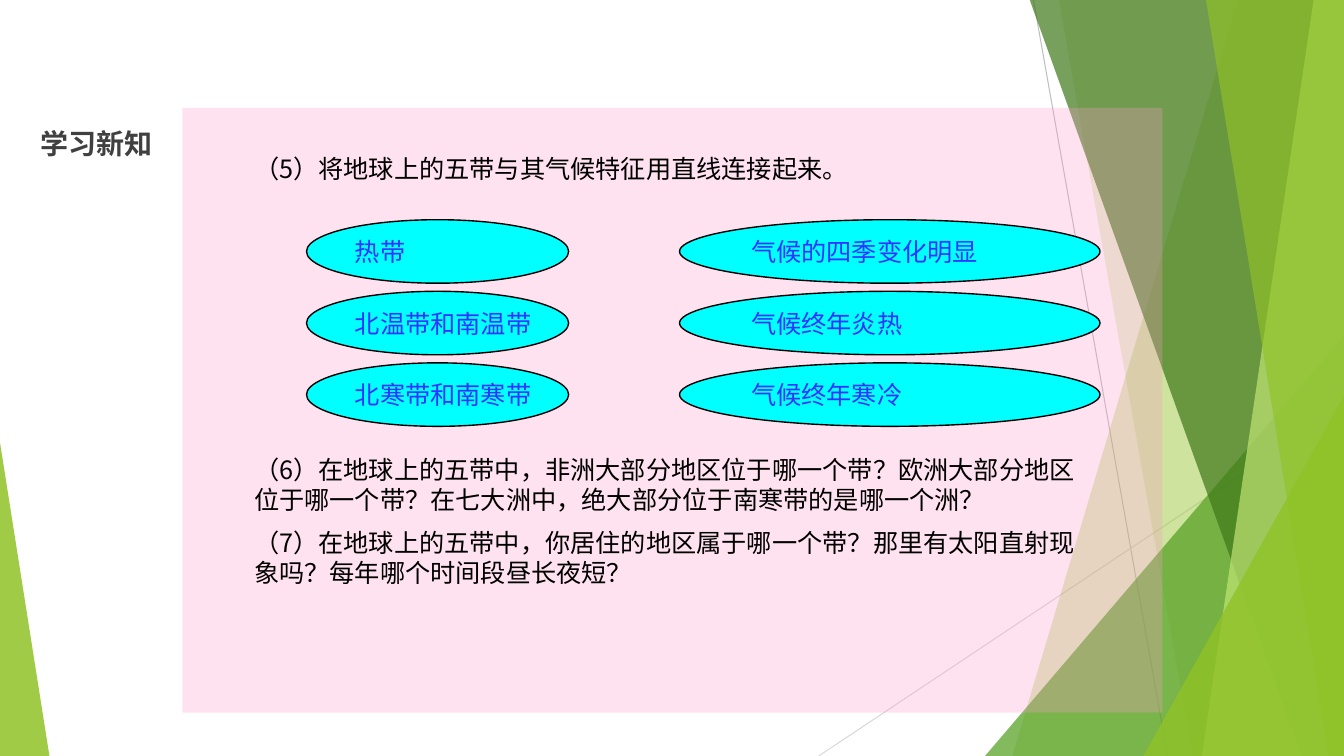
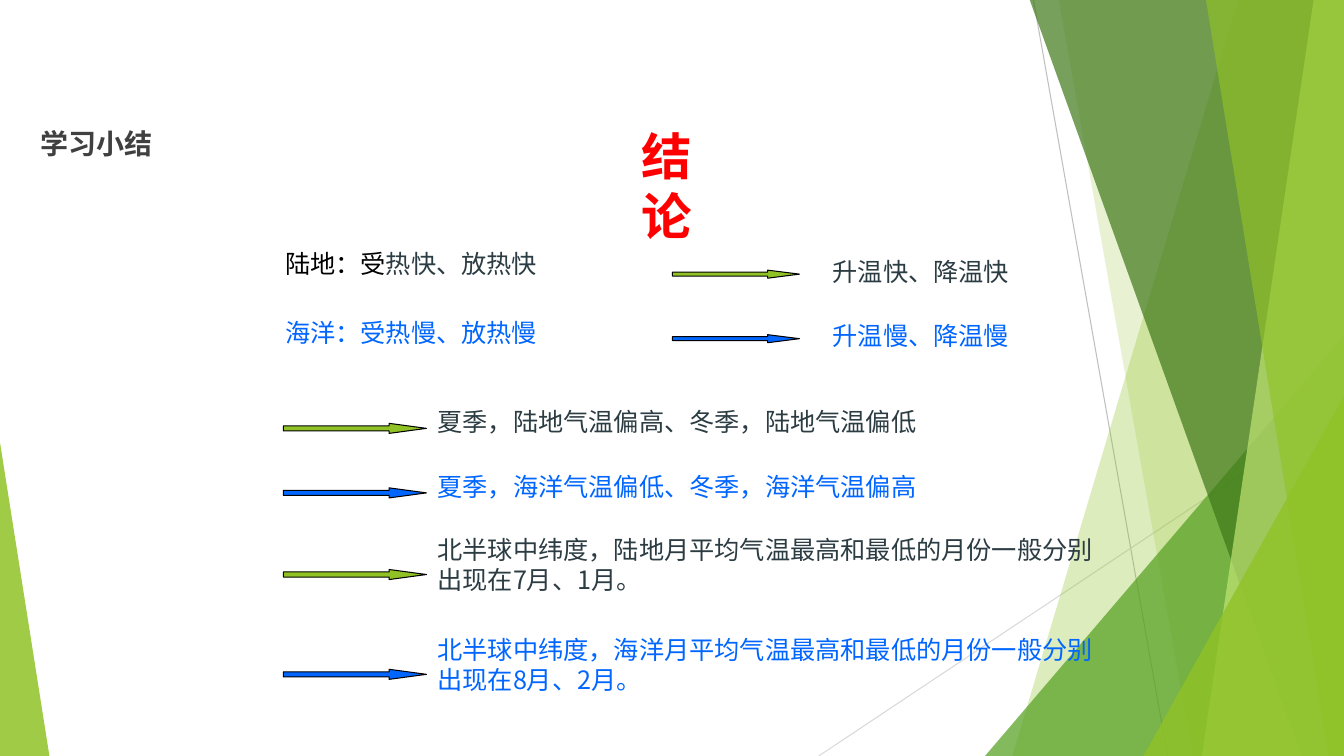
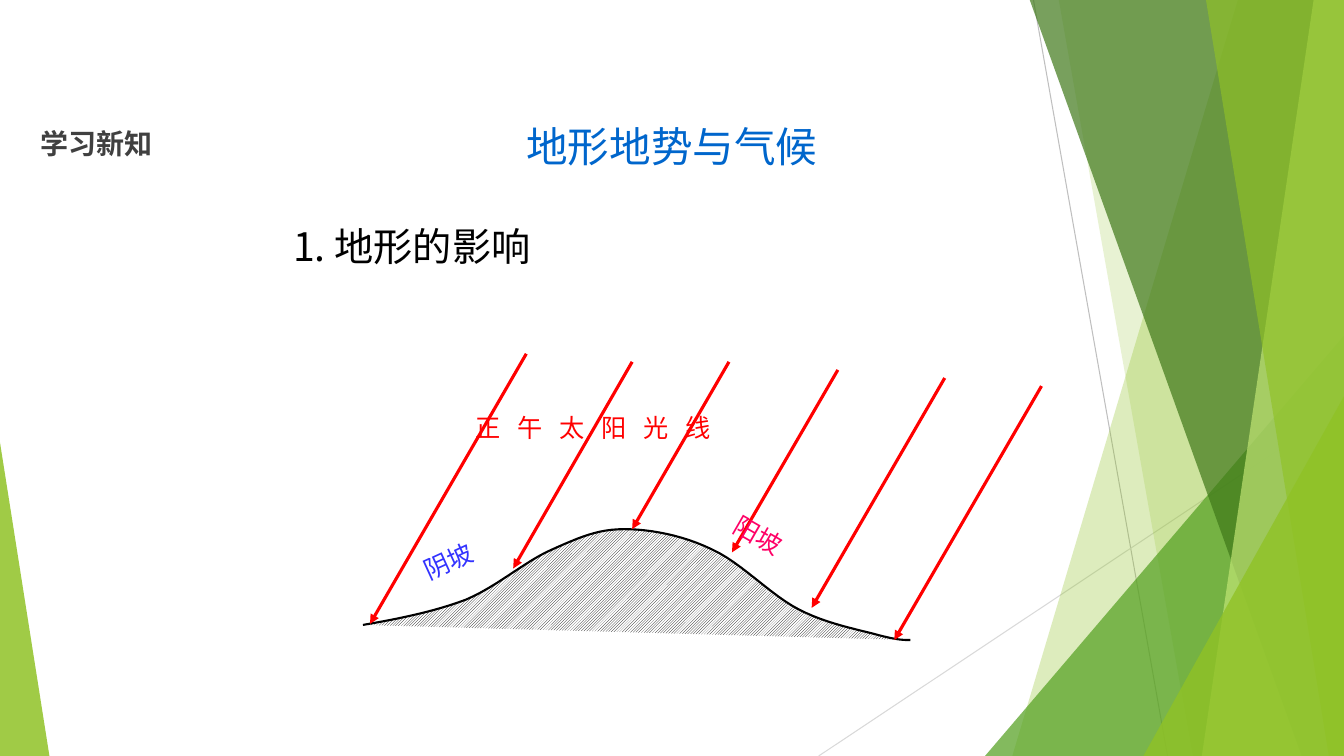
from lxml import etree
from pptx import Presentation
from pptx.dml.color import RGBColor
from pptx.enum.dml import MSO_PATTERN
from pptx.enum.shapes import MSO_CONNECTOR, MSO_SHAPE
from pptx.enum.text import MSO_ANCHOR, MSO_AUTO_SIZE, PP_ALIGN
from pptx.oxml.ns import qn
from pptx.util import Inches, Pt

FONT = "Noto Sans CJK SC"
WIDTH, HEIGHT = 13.33, 7.5
GREEN, BLUE, INDIGO, RED = "90C226", "0066FF", "3333FF", "FF0000"
BLACK, SLATE, GREY = "000000", "2C3C43", "404040"
TITLE_ONLY, TITLE_AND_BODY = 5, 1


def rgb(color):
    return RGBColor.from_string(color)


def box(*lengths):
    return [Inches(n) for n in lengths]


def place(shape, left, top, width, height):
    shape.left, shape.top, shape.width, shape.height = box(left, top, width, height)


def paint(shape, color, alpha=100, line=None, weight=1.0):
    """Fill a shape, with alpha in percent, and outline it if a line colour is given."""
    shape.shadow.inherit = False
    shape.fill.solid()
    shape.fill.fore_color.rgb = rgb(color)
    if alpha < 100:
        clr = shape._element.spPr.find(qn("a:solidFill"))[0]
        etree.SubElement(clr, qn("a:alpha")).set("val", str(alpha * 1000))
    if line:
        shape.line.color.rgb = rgb(line)
        shape.line.width = Pt(weight)
    else:
        shape.line.fill.background()


def style(p, size, color, bold=False, align=PP_ALIGN.LEFT, spacing=0):
    """Set the font of a paragraph; spacing is between letters, in points."""
    p.alignment = align
    p.font.size, p.font.bold, p.font.name = Pt(size), bold, FONT
    p.font.color.rgb = rgb(color)
    props = p._p.pPr.find(qn("a:defRPr"))
    etree.SubElement(props, qn("a:ea")).set("typeface", FONT)
    if spacing:
        props.set("spc", str(spacing * 100))


def add_text(s, text, left, top, width, height, color, size=18, wrap=True,
             rotation=0, **kw):
    tb = s.shapes.add_textbox(*box(left, top, width, height))
    tb.rotation = rotation
    tf = tb.text_frame
    tf.word_wrap = wrap
    p = tf.paragraphs[0]
    p.text = text
    style(p, size, color, **kw)
    return p


def add_line(s, start, end, color, weight, arrow=False):
    c = s.shapes.add_connector(MSO_CONNECTOR.STRAIGHT, *box(*start, *end))
    c.line.color.rgb = rgb(color)
    c.line.width = Pt(weight)
    if arrow:
        etree.SubElement(c.line._get_or_add_ln(), qn("a:tailEnd")).set("type", "triangle")
    etree.SubElement(c._element.spPr, qn("a:effectLst"))


def add_outline(s, points, close):
    (x, y), *rest = [box(*pt) for pt in points]
    fb = s.shapes.build_freeform(x, y)
    fb.add_line_segments(rest, close=close)
    return fb.convert_to_shape()


def add_band(s, top_x, bottom_x, color, alpha):
    """Slanted band that reaches the right edge of the slide."""
    corners = [(top_x, -0.01), (WIDTH, -0.01), (WIDTH, HEIGHT), (bottom_x, HEIGHT)]
    paint(add_outline(s, corners, True), color, alpha)


def add_corner(s, left, top, width, tip, color, alpha):
    """Triangle on the lower edge; tip is 0 for left and 1 for right."""
    tri = s.shapes.add_shape(MSO_SHAPE.ISOSCELES_TRIANGLE,
                             *box(left, top, width, HEIGHT - top))
    tri.adjustments[0] = tip
    paint(tri, color, alpha)


def decorate_master(prs, s):
    """Draw the facets on a new slide and move them to the master."""
    add_line(s, (10.25, 0), (11.58, HEIGHT), "BFBFBF", 0.75)
    add_line(s, (WIDTH, 4.03), (8.12, HEIGHT), "D9D9D9", 0.75)
    add_band(s, 12.28, 10.04, GREEN, 30)
    add_band(s, 10.5, 11.83, GREEN, 20)
    add_corner(s, 9.77, 3.33, 3.56, 1, "54A021", 72)
    add_band(s, 10.21, 12.91, "3F7819", 70)
    add_band(s, 13.03, 11.92, "C0E474", 70)
    add_band(s, 11.96, 13.18, GREEN, 65)
    add_corner(s, 11.34, 3.93, 1.99, 1, GREEN, 80)
    add_corner(s, 0, 4.39, 0.49, 0, GREEN, 85)
    facets = [sh for sh in s.shapes if not sh.is_placeholder]
    for number, sh in enumerate(facets, 100):
        sh._element.xpath(".//p:cNvPr")[0].set("id", str(number))
        prs.slide_master.element.cSld.spTree.append(sh._element)
    place(prs.slide_master.placeholders[0], 0.3, 1.2, 1.32, 0.44)


def add_slide(prs, layout, title):
    s = prs.slides.add_slide(prs.slide_layouts[layout])
    tf = s.shapes.title.text_frame
    tf.text = title
    tf.word_wrap, tf.auto_size = False, MSO_AUTO_SIZE.NONE
    tf.vertical_anchor = MSO_ANCHOR.TOP
    style(tf.paragraphs[0], 20, GREY, bold=True)
    return s


def fill_questions(body, questions):
    """Write (text, space before) pairs as plain paragraphs without bullets."""
    place(body, 2.42, 1.47, 8.58, 4.64)
    tf = body.text_frame
    tf.auto_size = MSO_AUTO_SIZE.NONE
    tf.text = "\n".join(text for text, _ in questions)
    for p, (_, before) in zip(tf.paragraphs, questions):
        p.space_before = Pt(before)
        style(p, 18, BLACK)
        pPr = p._p.pPr
        pPr.set("marL", "0")
        pPr.set("indent", "0")
        pPr.find(qn("a:defRPr")).addprevious(etree.Element(qn("a:buNone")))


def add_ellipse(s, text, left, top, width):
    oval = s.shapes.add_shape(MSO_SHAPE.OVAL, *box(left, top, width, 0.63))
    paint(oval, "00FFFF", line=BLACK)
    tf = oval.text_frame
    tf.word_wrap, tf.vertical_anchor = False, MSO_ANCHOR.MIDDLE
    tf.text = text
    style(tf.paragraphs[0], 18, INDIGO)


def add_block_arrow(s, left, top, width, height, head, color):
    arrow = s.shapes.add_shape(MSO_SHAPE.RIGHT_ARROW, *box(left, top, width, height))
    arrow.adjustments[0], arrow.adjustments[1] = 0.5, head
    paint(arrow, color, line=BLACK, weight=0.75)


def zones_slide(s):
    panel = s.shapes.add_shape(MSO_SHAPE.RECTANGLE, *box(1.81, 1.07, 9.72, 6))
    paint(panel, "FF99CC", 28)
    s.shapes._spTree.insert(2, panel._element)  # behind the questions
    fill_questions(s.placeholders[1], [
        ("（5）将地球上的五带与其气候特征用直线连接起来。", 0),
        ("（6）在地球上的五带中，非洲大部分地区位于哪一个带？欧洲大部分地区"
         "位于哪一个带？在七大洲中，绝大部分位于南寒带的是哪一个洲？", 193.5),
        ("（7）在地球上的五带中，你居住的地区属于哪一个带？那里有太阳直射现"
         "象吗？每年哪个时间段昼长夜短？", 9),
    ])
    pairs = [("热带", "气候的四季变化明显"),
             ("北温带和南温带", "气候终年炎热"),
             ("北寒带和南寒带", "气候终年寒冷")]
    for row, (zone, climate) in enumerate(pairs):
        top = 2.18 + 0.71 * row
        add_ellipse(s, zone, 3.04, top, 2.6)
        add_ellipse(s, climate, 6.74, top, 4.17)


def summary_slide(s):
    add_text(s, "结论", 6.11, 1.19, 1, 0.75, RED, 36, wrap=False,
             bold=True, align=PP_ALIGN.CENTER)
    land = add_text(s, "陆地：受", 2.73, 2.41, 2.73, 0.4, BLACK, wrap=False)
    r = land.add_run()
    r.text = "热快、放热快"
    r.font.color.rgb = rgb(SLATE)
    add_text(s, "海洋：受热慢、放热慢", 2.73, 3.1, 2.73, 0.4, BLUE, wrap=False)

    effects = [("升温快、降温快", 2.49, SLATE, GREEN),
               ("升温慢、降温慢", 3.13, BLUE, BLUE)]
    for text, top, color, arrow in effects:
        add_block_arrow(s, 6.67, top + 0.19, 1.26, 0.08, 3.95, arrow)
        add_text(s, text, 8.16, top, 1.97, 0.4, color, wrap=False)

    results = [
        ("夏季，陆地气温偏高、冬季，陆地气温偏低", 3.98, 4.2, SLATE, GREEN),
        ("夏季，海洋气温偏低、冬季，海洋气温偏高", 4.63, 4.84, BLUE, BLUE),
        ("北半球中纬度，陆地月平均气温最高和最低的月份一般分别出现在7月、1月。",
         5.25, 5.65, SLATE, GREEN),
        ("北半球中纬度，海洋月平均气温最高和最低的月份一般分别出现在8月、2月。",
         6.24, 6.64, BLUE, BLUE),
    ]
    for text, top, arrow_top, color, arrow in results:
        add_block_arrow(s, 2.81, arrow_top, 1.42, 0.1, 3.71, arrow)
        add_text(s, text, 4.24, top, 6.76, 0.4, color)


def curve_points(start, segments, steps=12):
    """Points along joined cubic curves, each (control, control, end)."""
    points = [start]
    for curve in segments:
        knots = (points[-1], *curve)
        for step in range(1, steps + 1):
            t = step / steps
            weights = ((1 - t) ** 3, 3 * t * (1 - t) ** 2, 3 * t * t * (1 - t), t ** 3)
            points.append(tuple(sum(w * k[axis] for w, k in zip(weights, knots))
                                for axis in (0, 1)))
    return points


def add_hill(s):
    slopes = [
        ((3.95, 6.14), (4.3, 6.07), (4.62, 5.95)),
        ((4.93, 5.82), (5.22, 5.56), (5.48, 5.45)),
        ((5.75, 5.33), (5.93, 5.25), (6.19, 5.25)),
        ((6.45, 5.25), (6.77, 5.31), (7.06, 5.45)),
        ((7.35, 5.58), (7.65, 5.91), (7.93, 6.05)),
        ((8.2, 6.19), (8.53, 6.25), (8.71, 6.3)),
        ((8.9, 6.35), (8.96, 6.35), (9.03, 6.35)),
    ]
    hill = add_outline(s, curve_points((3.6, 6.2), slopes), False)
    paint(hill, "FFFFFF", line=BLACK, weight=1.5)
    hill.fill.patterned()
    hill.fill.pattern = MSO_PATTERN.LIGHT_UPWARD_DIAGONAL
    hill.fill.fore_color.rgb = rgb(BLACK)
    hill.fill.back_color.rgb = rgb("FFFFFF")


def terrain_slide(s):
    add_text(s, "地形地势与气候", 4.88, 1.15, 3.57, 0.5, "0066CC", 29.7,
             wrap=False, align=PP_ALIGN.CENTER)
    add_text(s, "1. 地形的影响", 2.81, 2.16, 2.99, 0.57, BLACK, 28)
    add_hill(s)
    sun_rays = [((5.22, 3.51), (3.67, 6.19)), ((6.27, 3.59), (5.09, 5.64)),
                ((7.23, 3.59), (6.27, 5.25)), ((8.31, 3.67), (7.26, 5.48)),
                ((9.37, 3.75), (8.05, 6.03)), ((10.33, 3.83), (8.87, 6.35))]
    for start, end in sun_rays:
        add_line(s, start, end, RED, 2.25, arrow=True)
    add_text(s, "正午太阳光线", 4.62, 4.04, 4.57, 0.4, RED, spacing=12)
    add_text(s, "阳坡", 7.14, 5.25, 1.26, 0.4, "FF0066", rotation=29.9)
    add_text(s, "阴坡", 4.07, 5.25, 1.26, 0.4, INDIGO, rotation=335.4)


def main():
    prs = Presentation()
    prs.slide_width, prs.slide_height = box(WIDTH, HEIGHT)
    zones = add_slide(prs, TITLE_AND_BODY, "学习新知")
    decorate_master(prs, zones)
    zones_slide(zones)
    summary_slide(add_slide(prs, TITLE_ONLY, "学习小结"))
    terrain_slide(add_slide(prs, TITLE_ONLY, "学习新知"))
    prs.save("out.pptx")


if __name__ == "__main__":
    main()
